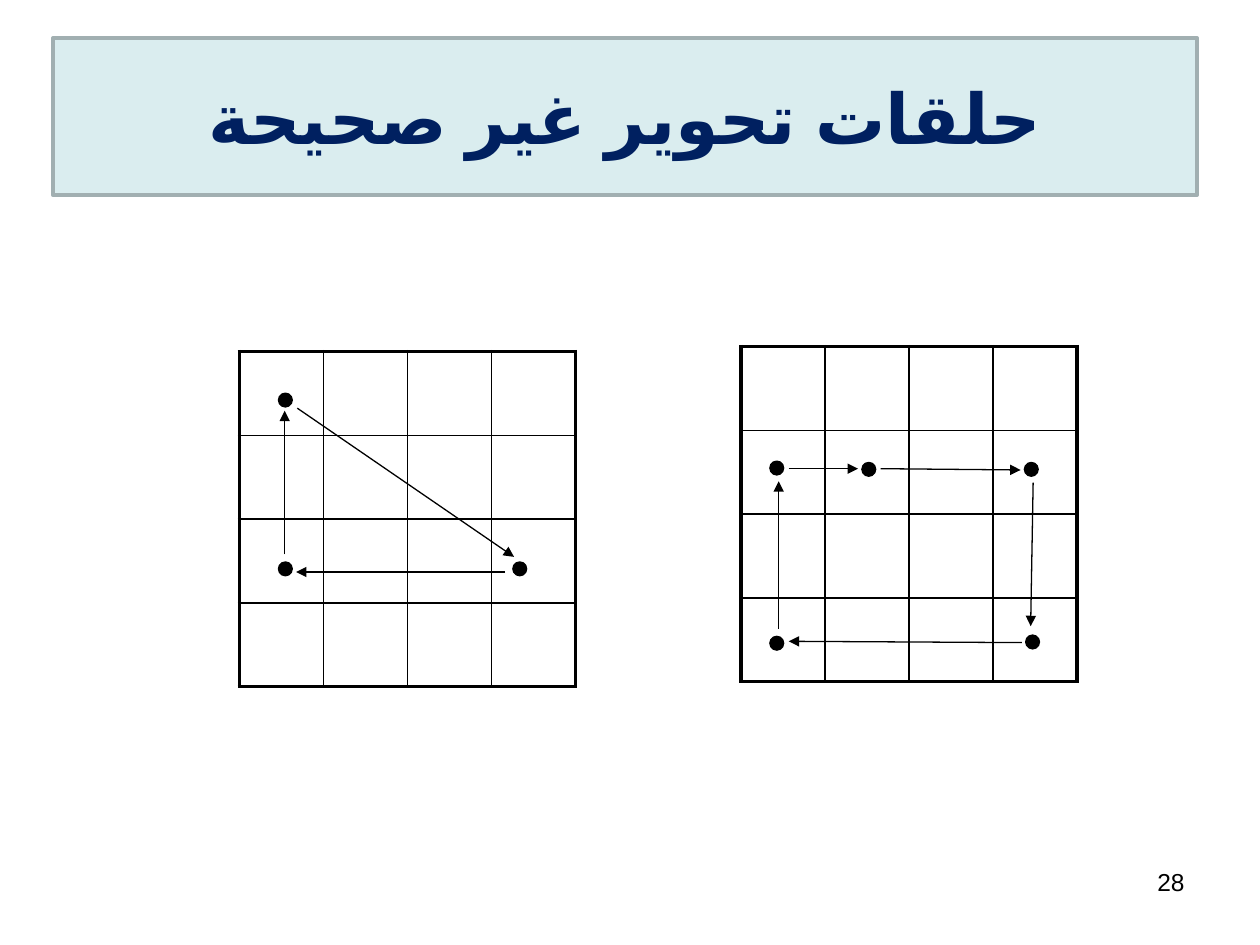
from dataclasses import dataclass
from lxml.etree import SubElement
from pptx import Presentation
from pptx.dml.color import RGBColor as Rgb
from pptx.enum.shapes import MSO_CONNECTOR as Link, MSO_SHAPE as Form
from pptx.enum.text import MSO_ANCHOR as Anchor, PP_ALIGN as Align
from pptx.oxml.ns import qn
from pptx.util import Inches, Pt


@dataclass
class Theme:
    """Colours, fonts and sizes."""
    ink: str = "000000"
    navy: str = "002060"
    pale: str = "DAEDEF"
    edge: str = "A1AFB1"
    head: str = "Times New Roman"
    body: str = "Arial"
    big: int = 40
    small: int = 14
    thin: float = 0.75
    rule: float = 1
    frame: float = 2.25


class Board:
    """Draws the elements of one slide in one style."""

    def __init__(self, slide, theme):
        self.shapes = slide.shapes
        self.theme = theme

    def style(self, para, face, size, color, bold=False):
        for run in para.runs:
            font = run.font
            font.name, font.size, font.bold = face, Pt(size), bold
            font.color.rgb = Rgb.from_string(color)

    def shape(self, form, box, fill, edge, width):
        item = self.shapes.add_shape(form, *map(Inches, box))
        item.shadow.inherit = False
        item.fill.solid()
        item.fill.fore_color.rgb = Rgb.from_string(fill)
        item.line.color.rgb = Rgb.from_string(edge)
        item.line.width = Pt(width)
        return item

    def title(self, text, box):
        t = self.theme
        frame = self.shape(Form.RECTANGLE, box, t.pale, t.edge, 2).text_frame
        frame.text = text
        frame.vertical_anchor = Anchor.MIDDLE
        para = frame.paragraphs[0]
        para.alignment = Align.CENTER
        self.style(para, t.head, t.big, t.navy, True)
        props = para._p.get_or_add_pPr()
        props.set("rtl", "1")
        props.set("marL", str(Inches(0.83)))
        props.set("indent", str(Inches(-0.83)))
        for run in para.runs:
            run.font._element.set("lang", "ar-SA")
            SubElement(run.font._element, qn("a:cs"), typeface=t.body)

    def number(self, text, box):
        t = self.theme
        frame = self.shapes.add_textbox(*map(Inches, box)).text_frame
        frame.word_wrap = True
        frame.text = text
        para = frame.paragraphs[0]
        para.alignment = Align.RIGHT
        self.style(para, t.body, t.small, t.ink)

    def border(self, cell, sides):
        props = cell._tc.get_or_add_tcPr()
        for spot, (side, outer) in enumerate(sides.items()):
            width = self.theme.frame if outer else self.theme.rule
            line = props.makeelement(qn("a:ln" + side), {"w": str(Pt(width))})
            fill = SubElement(line, qn("a:solidFill"))
            SubElement(fill, qn("a:srgbClr"), val=self.theme.ink)
            props.insert(spot, line)

    def grid(self, left, top, count=4, wide=2.67, high=2.66):
        box = map(Inches, (left, top, wide, high))
        table = self.shapes.add_table(count, count, *box).table
        table.first_row = table.horz_banding = False
        last = count - 1
        for row in range(count):
            for col in range(count):
                cell = table.cell(row, col)
                cell.fill.background()
                self.border(cell, {"L": col == 0, "R": col == last,
                                   "T": row == 0, "B": row == last})

    def dot(self, left, top, size=0.11):
        t = self.theme
        self.shape(Form.OVAL, (left, top, size, size), t.ink, t.ink, t.thin)

    def arrow(self, *ends):
        item = self.shapes.add_connector(Link.STRAIGHT, *map(Inches, ends))
        item.line.color.rgb = Rgb.from_string(self.theme.ink)
        item.line.width = Pt(self.theme.thin)
        SubElement(item.line._get_or_add_ln(), qn("a:tailEnd"), type="triangle")
        SubElement(item._element.spPr, qn("a:effectLst"))


LOOPS = [
    ((1.9, 2.79),
     [(2.21, 3.12), (2.21, 4.46), (4.07, 4.46)],
     [(4.01, 4.54, 2.35, 4.54), (2.36, 3.24, 4.08, 4.42),
      (2.26, 4.4, 2.26, 3.26)]),
    ((5.88, 2.75),
     [(6.11, 3.66), (6.84, 3.67), (8.13, 3.67), (8.14, 5.04), (6.11, 5.05)],
     [(6.26, 3.72, 6.81, 3.72), (8.11, 5.1, 6.26, 5.09),
      (6.18, 4.99, 6.18, 3.82), (8.2, 3.83, 8.18, 4.97),
      (6.99, 3.72, 8.1, 3.73)]),
]

deck = Presentation()
deck.slide_width, deck.slide_height = Inches(10), Inches(7.5)
board = Board(deck.slides.add_slide(deck.slide_layouts[6]), Theme())
board.number("28", (7.17, 6.83, 2.33, 0.52))
for place, dots, arrows in LOOPS:
    board.grid(*place)
    for dot in dots:
        board.dot(*dot)
    for arrow in arrows:
        board.arrow(*arrow)
board.title("حلقات تحوير غير صحيحة", (0.42, 0.3, 9.08, 1.25))
deck.save("out.pptx")
